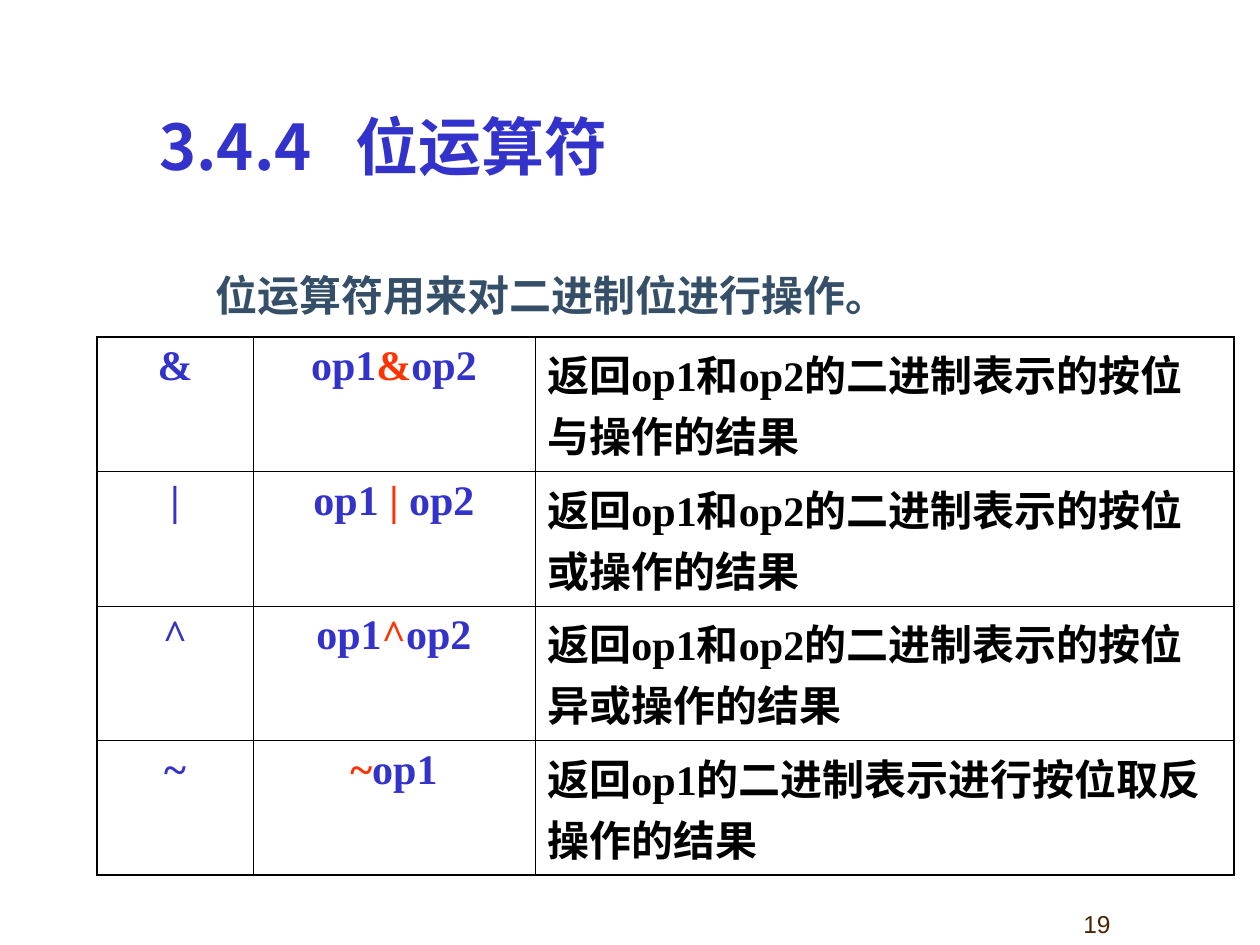
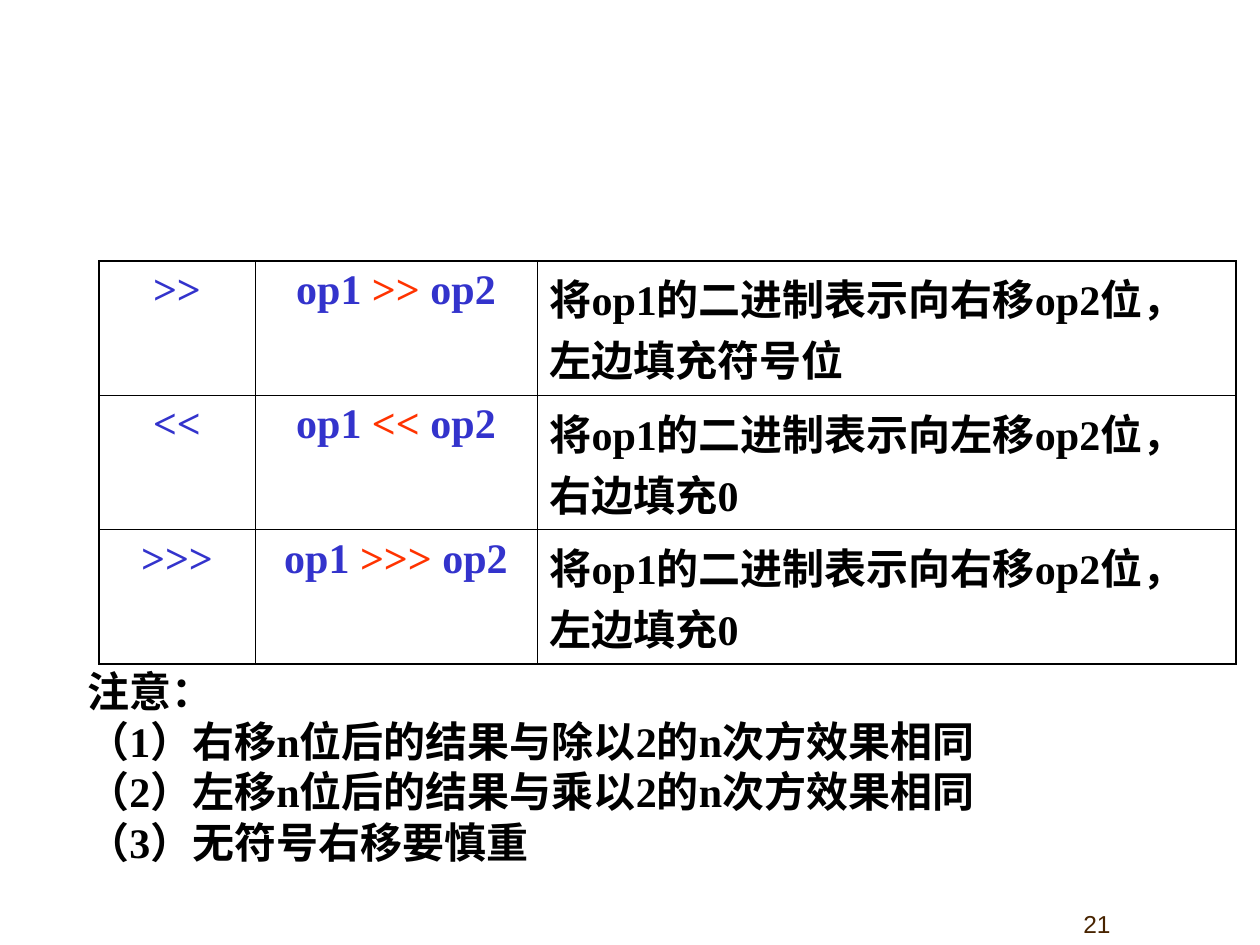
from dataclasses import dataclass

from lxml import etree
from pptx import Presentation
from pptx.dml.color import RGBColor
from pptx.enum.text import MSO_ANCHOR, MSO_AUTO_SIZE, PP_ALIGN
from pptx.oxml.ns import qn
from pptx.util import Emu, Pt

LEFT, CENTER = PP_ALIGN.LEFT, PP_ALIGN.CENTER
TOP, BOTTOM = MSO_ANCHOR.TOP, MSO_ANCHOR.BOTTOM
GROW = MSO_AUTO_SIZE.SHAPE_TO_FIT_TEXT


@dataclass(frozen=True)
class Theme:
    blue: str = "3333CC"
    red: str = "FF3300"
    slate: str = "364F68"
    brown: str = "482400"
    black: str = "000000"
    white: str = "FFFFFF"
    cjk: str = "Noto Sans CJK SC"
    serif: str = "Times New Roman"
    sans: str = "Arial"
    title: int = 36
    body: int = 24
    footer: int = 14
    note_spacing: float = 28.8
    outer_line: float = 1.08
    inner_line: float = 0.45


THEME = Theme()
SLIDE_SIZE = (1260, 945)
COLUMN_WIDTHS = (156, 282, 699)
PAGE_NUMBER_BOX = (966, 882, 262, 63)
TITLE_BOX = (147, 101, 1071, 88)
INTRO_BOX = (184, 248, 765, 78)
NOTES_BOX = (75, 659, 1000, 214)
TITLE_TAB = 196
INTRO_INDENT = 19

TITLE = "3.4.4\t位运算符"
INTRO = "位运算符用来对二进制位进行操作。"
BITWISE = [
    ("&", ("op1", "&", "op2"), "返回op1和op2的二进制表示的按位与操作的结果"),
    ("|", ("op1 ", "| ", "op2"), "返回op1和op2的二进制表示的按位或操作的结果"),
    ("^", ("op1", "^", "op2"), "返回op1和op2的二进制表示的按位异或操作的结果"),
    ("~", ("", "~", "op1"), "返回op1的二进制表示进行按位取反操作的结果"),
]
SHIFTS = [
    (">>", ("op1 ", ">> ", "op2"), "将op1的二进制表示向右移op2位，左边填充符号位"),
    ("<<", ("op1 ", "<< ", "op2"), "将op1的二进制表示向左移op2位，右边填充0"),
    (">>>", ("op1 ", ">>> ", "op2"), "将op1的二进制表示向右移op2位，左边填充0"),
]
NOTES = [
    "注意：",
    "（1）右移n位后的结果与除以2的n次方效果相同",
    "（2）左移n位后的结果与乘以2的n次方效果相同",
    "（3）无符号右移要慎重",
]


def px(length):
    """Turn a length in px into EMU."""
    return Emu(round(length * 914400 / 126))


def style(paragraph, size, color, face, bold=True, align=LEFT):
    """Set the alignment and the font of a whole paragraph."""
    paragraph.alignment = align
    font = paragraph.font
    font.size, font.bold, font.name = Pt(size), bold, face
    font.color.rgb = RGBColor.from_string(color)
    properties = paragraph._p.pPr
    properties.set("hangingPunct", "0")
    latin = properties.find(qn("a:defRPr")).find(qn("a:latin"))
    latin.addnext(etree.Element(qn("a:ea"), typeface=THEME.cjk))


def add_text(slide, box, lines, anchor=TOP):
    """Add a wrapping text box and return its frame."""
    frame = slide.shapes.add_textbox(*map(px, box)).text_frame
    frame.word_wrap, frame.vertical_anchor = True, anchor
    frame.text = "\n".join(lines)
    return frame


def add_page(deck, number):
    """Add a blank slide with its page number."""
    slide = deck.slides.add_slide(deck.slide_layouts[6])
    frame = add_text(slide, PAGE_NUMBER_BOX, [str(number)], BOTTOM)
    style(frame.paragraphs[0], THEME.footer, THEME.brown, THEME.sans, False, CENTER)
    return slide


def add_title(slide):
    """Add the section title, with a tab after its number."""
    paragraph = add_text(slide, TITLE_BOX, [TITLE], BOTTOM).paragraphs[0]
    tabs = etree.SubElement(paragraph._p.get_or_add_pPr(), qn("a:tabLst"))
    etree.SubElement(tabs, qn("a:tab"), pos=str(px(TITLE_TAB)), algn="l")
    style(paragraph, THEME.title, THEME.blue, THEME.cjk)


def add_intro(slide):
    """Add the indented opening sentence."""
    frame = add_text(slide, INTRO_BOX, [INTRO])
    frame.auto_size = GROW
    paragraph = frame.paragraphs[0]
    paragraph.line_spacing = 1.3
    paragraph._p.get_or_add_pPr().set("indent", str(px(INTRO_INDENT)))
    style(paragraph, THEME.body, THEME.slate, THEME.cjk)


def add_notes(slide):
    """Add the remarks below the shift operators."""
    frame = add_text(slide, NOTES_BOX, NOTES)
    frame.auto_size = GROW
    for paragraph in frame.paragraphs:
        paragraph.line_spacing = Pt(THEME.note_spacing)
        style(paragraph, THEME.body, THEME.black, THEME.serif)


def draw_borders(cell, outer_sides):
    """Draw the four cell borders, heavier on the outer sides."""
    properties = cell._tc.get_or_add_tcPr()
    for side in "LRTB":
        weight = THEME.outer_line if side in outer_sides else THEME.inner_line
        line = etree.SubElement(properties, qn(f"a:ln{side}"), w=str(Pt(weight)))
        fill = etree.SubElement(line, qn("a:solidFill"))
        etree.SubElement(fill, qn("a:srgbClr"), val=THEME.black)


def fill_expression(paragraph, parts):
    """Write an expression with its operator in red."""
    for index, part in enumerate(parts):
        if part:
            run = paragraph.add_run()
            run.text = part
            if index == 1:
                run.font.color.rgb = RGBColor.from_string(THEME.red)


def add_operators(slide, left, top, height, operators):
    """Add a table of operators, expressions and meanings."""
    box = (left, top, sum(COLUMN_WIDTHS), height)
    table = slide.shapes.add_table(len(operators), len(COLUMN_WIDTHS), *map(px, box)).table
    table.first_row = table.horz_banding = False
    for column, width in zip(table.columns, COLUMN_WIDTHS):
        column.width = px(width)
    last_row, last_column = len(operators) - 1, len(COLUMN_WIDTHS) - 1
    for r, operator in enumerate(operators):
        table.rows[r].height = px(height / len(operators))
        for c, content in enumerate(operator):
            cell = table.cell(r, c)
            edges = {"L": c == 0, "R": c == last_column, "T": r == 0, "B": r == last_row}
            draw_borders(cell, [side for side, outer in edges.items() if outer])
            cell.fill.solid()
            cell.fill.fore_color.rgb = RGBColor.from_string(THEME.white)
            paragraph = cell.text_frame.paragraphs[0]
            if c == 1:
                fill_expression(paragraph, content)
            else:
                paragraph.text = content
            color, align = (THEME.black, LEFT) if c == last_column else (THEME.blue, CENTER)
            style(paragraph, THEME.body, color, THEME.serif, align=align)


def main():
    """Build both slides and save them."""
    deck = Presentation()
    deck.slide_width, deck.slide_height = map(px, SLIDE_SIZE)

    bitwise_page = add_page(deck, 19)
    add_intro(bitwise_page)
    add_title(bitwise_page)
    add_operators(bitwise_page, 97, 337, 538, BITWISE)

    shift_page = add_page(deck, 21)
    add_operators(shift_page, 99, 261, 403, SHIFTS)
    add_notes(shift_page)

    deck.save("out.pptx")


if __name__ == "__main__":
    main()
